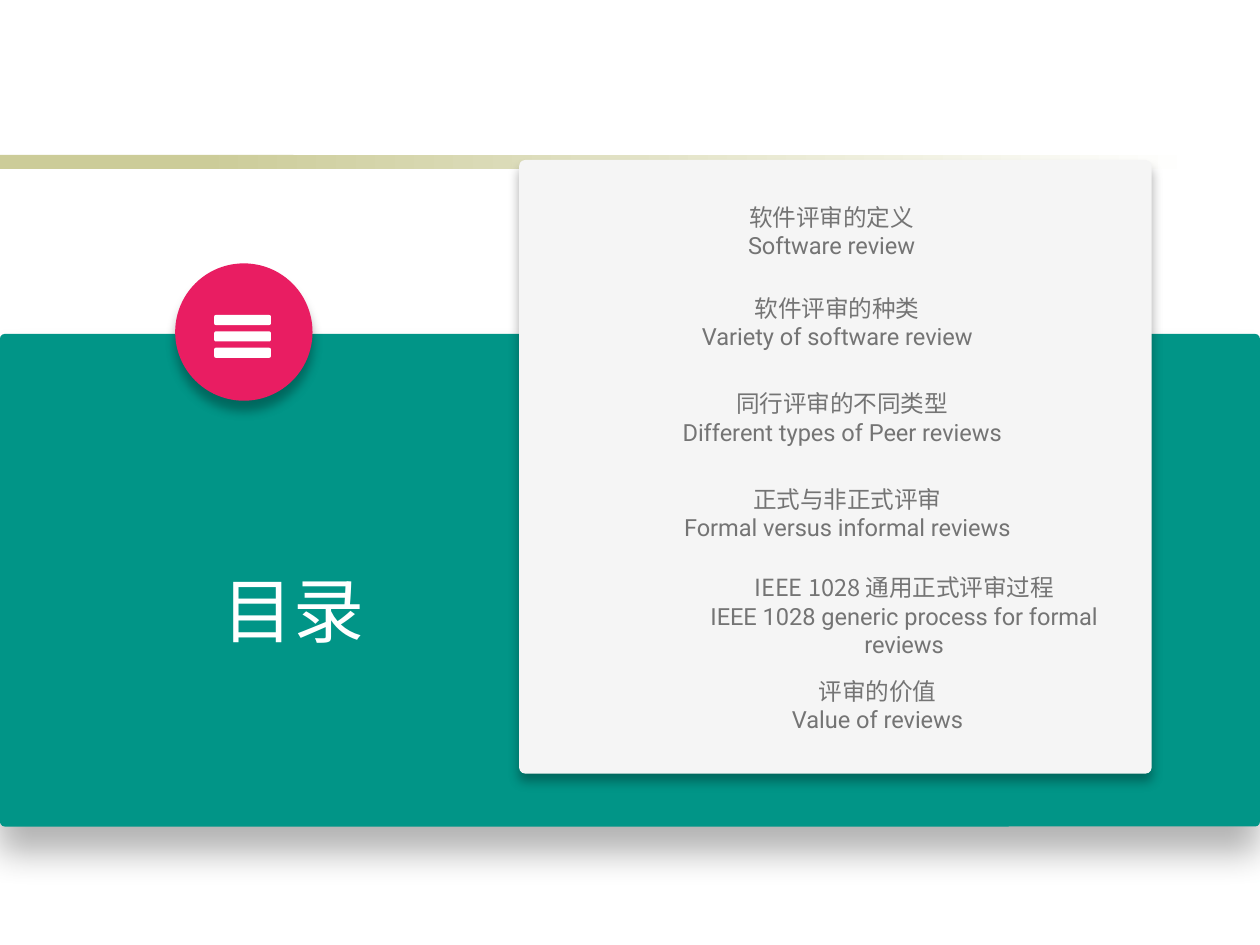
from dataclasses import dataclass

from lxml.etree import SubElement
from pptx import Presentation
from pptx.dml.color import RGBColor
from pptx.enum.shapes import MSO_SHAPE as Preset
from pptx.enum.text import MSO_ANCHOR as Anchor, MSO_AUTO_SIZE as AutoSize, PP_ALIGN as Align
from pptx.oxml.ns import qn
from pptx.util import Inches, Pt

COLUMNS, ROWS = 100, 75

TOPICS = [
    (15.6, 27.0, "软件评审的定义", "Software review"),
    (22.8, 27.9, "软件评审的种类", "Variety of software review"),
    (30.4, 28.7, "同行评审的不同类型", "Different types of Peer reviews"),
    (38.0, 29.5, "正式与非正式评审", "Formal versus informal reviews"),
    (45.0, 38.5, "IEEE 1028 通用正式评审过程", "IEEE 1028 generic process for formal reviews"),
    (53.2, 34.3, "评审的价值", "Value of reviews"),
]


@dataclass(frozen=True)
class Theme:
    band: str = "019587"
    card: str = "F5F5F5"
    badge: str = "E91D62"
    stripe: str = "CCCC99"
    white: str = "FFFFFF"
    text: str = "747474"
    shadow: str = "000000"
    chinese: str = "Noto Sans CJK SC"
    english: str = "Roboto"
    title_size: float = 40.5
    topic_size: float = 13.5


class SlideBuilder:
    """Draws themed elements on a slide measured in grid columns and rows."""

    def __init__(self, presentation, theme):
        self.theme = theme
        self.slide = presentation.slides.add_slide(presentation.slide_layouts[5])
        self.column = presentation.slide_width / COLUMNS
        self.row = presentation.slide_height / ROWS

    def place(self, left, top, width, height):
        return (round(left * self.column), round(top * self.row),
                round(width * self.column), round(height * self.row))

    def panel(self, preset, area, color, corner=None, shadow=None):
        shape = self.slide.shapes.add_shape(preset, *self.place(*area))
        shape.fill.solid()
        shape.fill.fore_color.rgb = RGBColor.from_string(color)
        shape.line.fill.background()
        shape.shadow.inherit = False
        if corner is not None:
            shape.adjustments[0] = corner
        if shadow:
            self.cast_shadow(shape, *shadow)
        return shape

    def cast_shadow(self, shape, blur, distance):
        effects = shape._element.spPr.find(qn("a:effectLst"))
        outer = SubElement(effects, qn("a:outerShdw"), blurRad=str(Pt(blur)),
                           dist=str(Pt(distance)), dir="5400000", algn="t", rotWithShape="0")
        color = SubElement(outer, qn("a:srgbClr"), val=self.theme.shadow)
        SubElement(color, qn("a:alpha"), val="30000")

    def fade(self, area, start, end):
        shape = self.panel(Preset.RECTANGLE, area, start)
        shape.fill.gradient()
        shape.fill.gradient_angle = 0
        for stop, position, color in zip(shape.fill.gradient_stops, (0, 1), (start, end)):
            stop.position = position
            stop.color.rgb = RGBColor.from_string(color)

    def add_text(self, paragraph, text, font_name, size, color):
        paragraph.alignment = Align.CENTER
        paragraph.space_before = Pt(0)
        run = paragraph.add_run()
        run.text = text
        run.font.size = Pt(size)
        run.font.color.rgb = RGBColor.from_string(color)
        run.font.name = font_name
        SubElement(run.font._element, qn("a:ea"), typeface=font_name)

    def prepare(self, shape):
        frame = shape.text_frame
        frame.word_wrap = True
        frame.auto_size = AutoSize.SHAPE_TO_FIT_TEXT
        frame.vertical_anchor = Anchor.TOP
        return frame

    def title(self, area, text):
        shape = self.slide.shapes.title
        shape.left, shape.top, shape.width, shape.height = self.place(*area)
        self.slide.shapes._spTree.append(shape._element)
        theme = self.theme
        self.add_text(self.prepare(shape).paragraphs[0], text, theme.chinese,
                      theme.title_size, theme.white)

    def topic(self, area, chinese, english):
        shape = self.slide.shapes.add_textbox(*self.place(*area))
        frame = self.prepare(shape)
        theme = self.theme
        self.add_text(frame.paragraphs[0], chinese, theme.chinese, theme.topic_size, theme.text)
        self.add_text(frame.add_paragraph(), english, theme.english, theme.topic_size, theme.text)


def main():
    presentation = Presentation()
    presentation.slide_width, presentation.slide_height = Inches(10), Inches(7.5)
    theme = Theme()
    builder = SlideBuilder(presentation, theme)

    builder.panel(Preset.RECTANGLE, (0, 12.3, 23.3, 1.1), theme.stripe)
    builder.fade((15.8, 12.3, 79.2, 1.1), theme.stripe, theme.white)
    builder.panel(Preset.ROUNDED_RECTANGLE, (0, 26.5, 100, 39.1), theme.band, 0.01, (20, 15))
    builder.panel(Preset.ROUNDED_RECTANGLE, (41.2, 12.7, 50.2, 48.7), theme.card, 0.01, (6, 5))
    builder.panel(Preset.OVAL, (13.9, 20.9, 10.9, 10.9), theme.badge, shadow=(6, 6))

    builder.title((13.9, 44.5, 18.8, 7.8), "目录")
    for top, width, chinese, english in TOPICS:
        builder.topic((52.5, top, width, 5.6), chinese, english)

    for index in range(3):
        builder.panel(Preset.ROUNDED_RECTANGLE, (17, 25 + 1.3 * index, 4.5, 0.8), theme.white)

    presentation.save("out.pptx")


if __name__ == "__main__":
    main()
